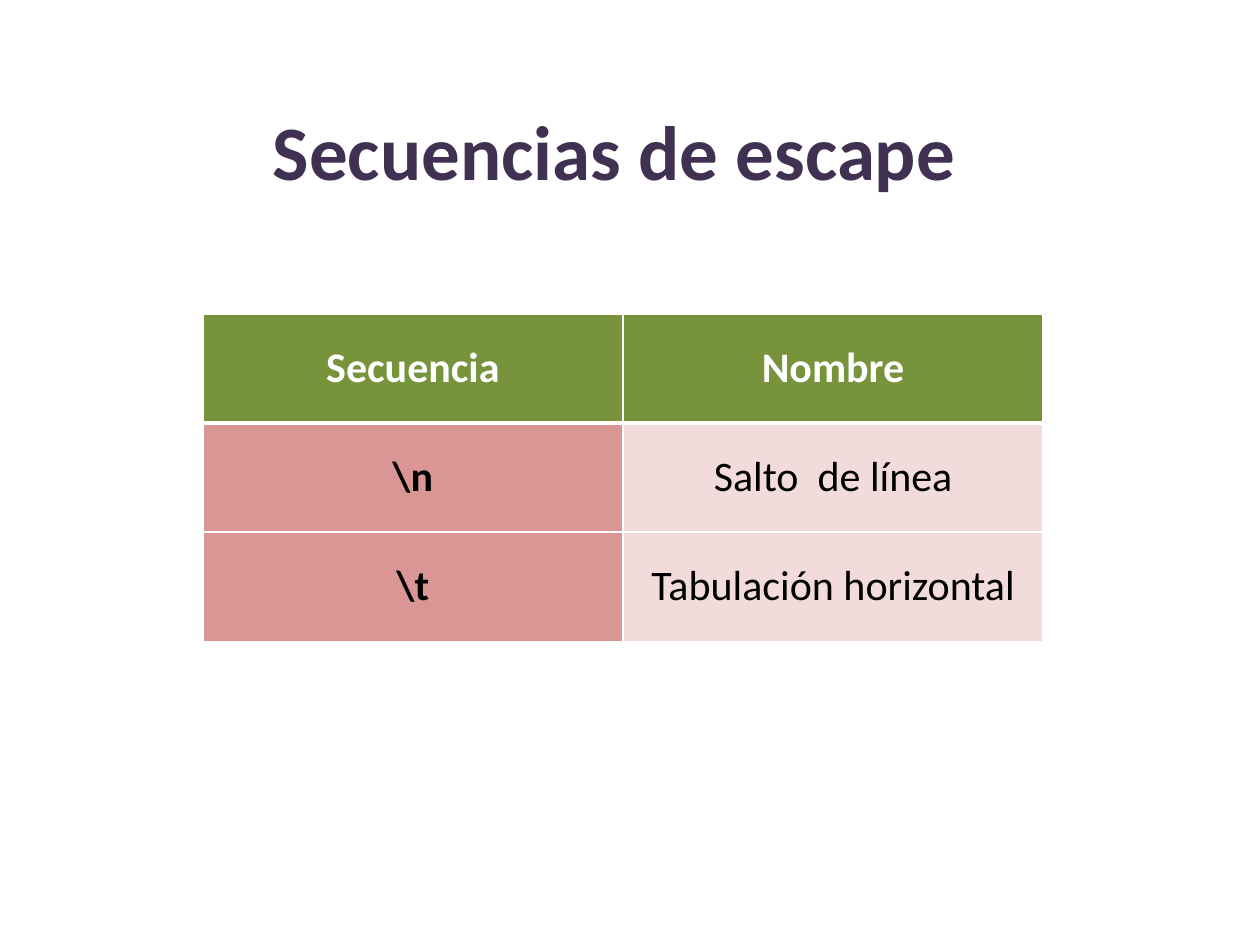
import pptx
import pptx.util
import pptx.dml.color
import pptx.enum.text
import pptx.oxml
import pptx.oxml.ns

Inches = pptx.util.Inches
Pt = pptx.util.Pt
RGB = pptx.dml.color.RGBColor.from_string
ANCHOR = pptx.enum.text.MSO_ANCHOR
CENTER = pptx.enum.text.PP_ALIGN.CENTER

COLORS = {
    "title": "403152",
    "header": "77933C",
    "sequence": "D99694",
    "name": "F2DCDB",
    "light": "FFFFFF",
    "dark": "000000",
}
ROWS = [
    ("Secuencia", "Nombre"),
    ("\\n", "Salto  de línea"),
    ("\\t", "Tabulación horizontal"),
]


def write(tf, text, color, **font):
    p = tf.paragraphs[0]
    p.alignment = CENTER
    r = p.add_run()
    r.text = text
    for key, value in {"name": "Calibri", **font}.items():
        setattr(r.font, key, value)
    r.font.color.rgb = RGB(COLORS[color])


def set_borders(cell, widths):
    tcPr = cell._tc.get_or_add_tcPr()
    for i, (side, width) in enumerate(widths.items()):
        tcPr.insert(i, pptx.oxml.parse_xml(
            f'<a:ln{side} {pptx.oxml.ns.nsdecls("a")} w="{Pt(width)}">'
            f'<a:solidFill><a:srgbClr val="{COLORS["light"]}"/></a:solidFill>'
            f'</a:ln{side}>'))


def add_title(s, x, y, w, h):
    sp = s.shapes.add_textbox(Inches(x), Inches(y), Inches(w), Inches(h))
    tf = sp.text_frame
    tf.word_wrap = True
    tf.vertical_anchor = ANCHOR.TOP
    write(tf, " Secuencias de escape", "title", size=Pt(44), bold=True)


def add_sequences(s, x, y, w, h):
    table = s.shapes.add_table(len(ROWS), len(ROWS[0]), Inches(x), Inches(y),
                               Inches(w), Inches(h)).table
    for i, row in enumerate(ROWS):
        for j, text in enumerate(row):
            header = i == 0
            fill = "header" if header else ("sequence", "name")[j]
            cell = table.cell(i, j)
            cell.vertical_anchor = ANCHOR.MIDDLE
            cell.fill.solid()
            cell.fill.fore_color.rgb = RGB(COLORS[fill])
            write(cell.text_frame, text, "light" if header else "dark",
                  size=Pt(24), bold=header or j == 0)
            set_borders(cell, {"L": 1, "R": 1, "T": 3 if i == 1 else 1,
                               "B": 3 if header else 1})


prs = pptx.Presentation()
prs.slide_width, prs.slide_height = Inches(10), Inches(7.5)
s = prs.slides.add_slide(prs.slide_layouts[6])
add_title(s, 0.43, 0.77, 8.76, 1.25)
add_sequences(s, 1.61, 2.49, 6.67, 2.6)
prs.save("out.pptx")
